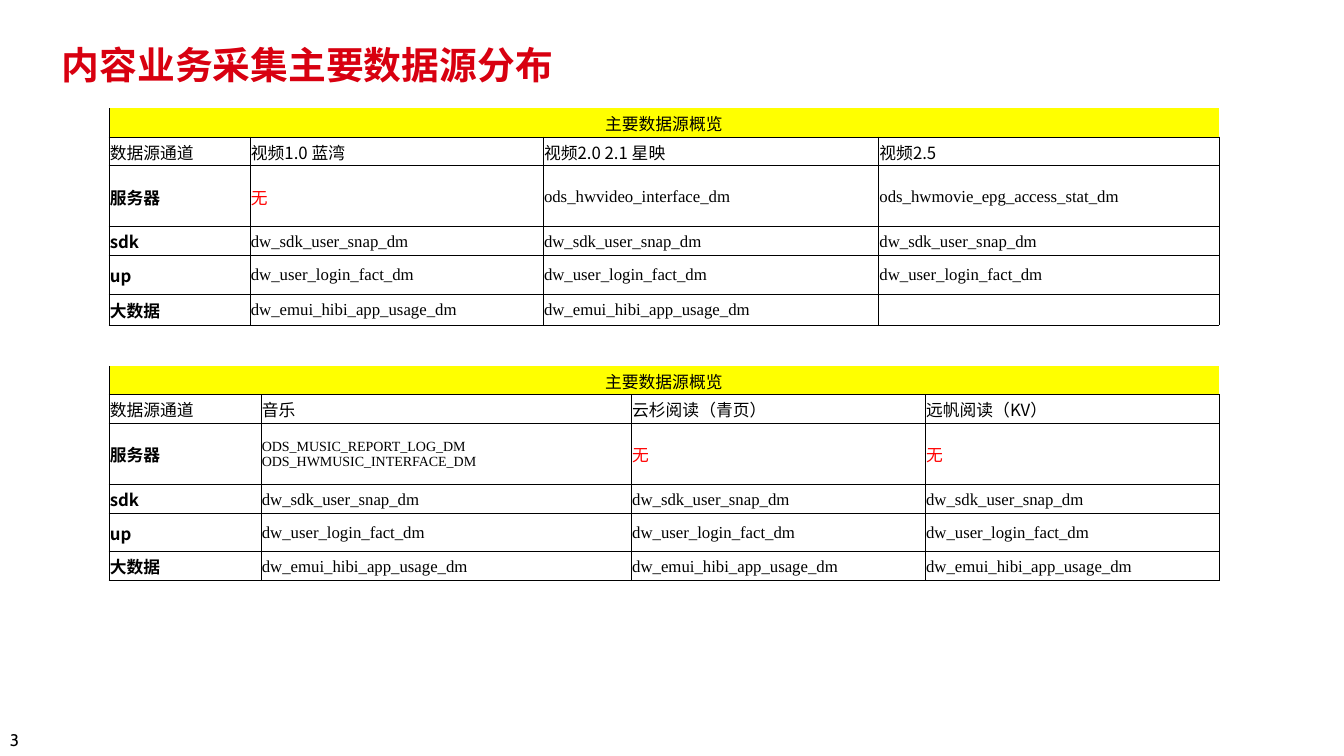
from lxml import etree
from pptx import Presentation
from pptx.dml.color import RGBColor
from pptx.enum.text import MSO_ANCHOR, PP_ALIGN
from pptx.oxml.ns import qn
from pptx.util import Inches, Pt

MIDDLE, TOP = MSO_ANCHOR.MIDDLE, MSO_ANCHOR.TOP
LEFT, CENTER = PP_ALIGN.LEFT, PP_ALIGN.CENTER

BLACK = RGBColor(0x00, 0x00, 0x00)
RED = RGBColor(0xFF, 0x00, 0x00)
TITLE_RED = RGBColor(0xD8, 0x00, 0x10)
YELLOW = RGBColor(0xFF, 0xFF, 0x00)

SANS, SERIF, NUMBER_FONT = "Noto Sans CJK SC", "Times New Roman", "Cabin"
NONE = "无"
ROW_WEIGHTS = (57, 57, 121, 57, 76, 57)


def write(paragraph, text, font=SANS, size=12, color=BLACK, bold=False, align=LEFT):
    """Fill a paragraph; each line of the text becomes a run."""
    paragraph.alignment = align
    for number, line in enumerate(text.split("\n")):
        if number:
            paragraph.add_line_break()
        run = paragraph.add_run()
        run.text = line
        run.font.name, run.font.size = font, Pt(size)
        run.font.bold, run.font.color.rgb = bold, color
        east_asian = etree.SubElement(run.font._element, qn("a:ea"))
        east_asian.set("typeface", SANS)
    if not text:
        end = etree.SubElement(paragraph._p, qn("a:endParaRPr"))
        end.set("sz", str(size * 100))


class SourceSlide:
    """Holds the slide and its style; lengths are percent of the slide."""

    def __init__(self, deck):
        self.width, self.height = deck.slide_width, deck.slide_height
        self.slide = deck.slides.add_slide(deck.slide_layouts[6])

    def area(self, left, top, width, height):
        return (int(self.width * left / 100), int(self.height * top / 100),
                int(self.width * width / 100), int(self.height * height / 100))

    def text(self, place, content, anchor=TOP, spacing=1.0, **style):
        frame = self.slide.shapes.add_textbox(*self.area(*place)).text_frame
        frame.word_wrap, frame.vertical_anchor = True, anchor
        frame.paragraphs[0].line_spacing = spacing
        write(frame.paragraphs[0], content, **style)

    def borders(self, cell, drawn):
        properties = cell._tc.get_or_add_tcPr()
        for side in "LRTB":
            line = etree.SubElement(properties, qn(f"a:ln{side}"), w=str(Pt(0.5)))
            if side in drawn:
                fill = etree.SubElement(line, qn("a:solidFill"))
                etree.SubElement(fill, qn("a:srgbClr"), val=str(BLACK))
            else:
                etree.SubElement(line, qn("a:noFill"))

    def cell(self, cell, content, fill=None, drawn="LRTB", **style):
        cell.margin_left = cell.margin_right = cell.margin_top = Inches(0.01)
        cell.margin_bottom = 0
        cell.vertical_anchor = MIDDLE
        self.borders(cell, drawn)
        if fill is None:
            cell.fill.background()
        else:
            cell.fill.solid()
            cell.fill.fore_color.rgb = fill
        write(cell.text_frame.paragraphs[0], content, **style)

    def source_table(self, place, column_weights, rows):
        left, top, width, height = self.area(*place)
        table = self.slide.shapes.add_table(
            len(rows) + 1, len(column_weights), left, top, width, height).table
        table.first_row = table.horz_banding = False
        for column, weight in zip(table.columns, column_weights):
            column.width = int(width * weight / sum(column_weights))
        for row, weight in zip(table.rows, ROW_WEIGHTS):
            row.height = int(height * weight / sum(ROW_WEIGHTS))

        # Yellow heading across all columns
        last = len(column_weights) - 1
        table.cell(0, 0).merge(table.cell(0, last))
        for c in range(last + 1):
            self.cell(table.cell(0, c), "" if c else "主要数据源概览",
                      fill=YELLOW, drawn="B" if c else "LB", align=CENTER)

        # Channel names in sans, data source names in serif
        for r, row in enumerate(rows, 1):
            for c, content in enumerate(row):
                labelled = r == 1 or c == 0
                self.cell(table.cell(r, c), content,
                          font=SANS if labelled else SERIF,
                          size=10 if "\n" in content else 12,
                          color=RED if content == NONE else BLACK,
                          bold=r > 1 and c == 0)


def channel_rows(products, server_sources, usage_count):
    """Rows of one table; only the server row and the last row vary."""
    count = len(products)
    usage = ["dw_emui_hibi_app_usage_dm"] * usage_count
    return [
        ["数据源通道", *products],
        ["服务器", *server_sources],
        ["sdk"] + ["dw_sdk_user_snap_dm"] * count,
        ["up"] + ["dw_user_login_fact_dm"] * count,
        ["大数据"] + usage + [""] * (count - usage_count),
    ]


def main():
    deck = Presentation()
    deck.slide_width, deck.slide_height = Inches(13.34), Inches(7.5)
    page = SourceSlide(deck)

    # Page number and title
    page.text((0, 95.9, 3.9, 4), "3", font=NUMBER_FONT)
    page.text((3.85, 2.6, 78, 9.4), "内容业务采集主要数据源分布", anchor=MIDDLE,
              spacing=1.4, size=27, color=TITLE_RED, bold=True)

    # Video sources
    page.source_table(
        (8.1, 14.3, 82.6, 28.4), (140, 291, 333, 338),
        channel_rows(["视频1.0 蓝湾", "视频2.0 2.1 星映", "视频2.5"],
                     [NONE, "ods_hwvideo_interface_dm",
                      "ods_hwmovie_epg_access_stat_dm"], usage_count=2))

    # Music and reading sources
    page.source_table(
        (8.1, 48.4, 82.6, 28.4), (151, 368, 292, 292),
        channel_rows(["音乐", "云杉阅读（青页）", "远帆阅读（KV）"],
                     ["ODS_MUSIC_REPORT_LOG_DM\nODS_HWMUSIC_INTERFACE_DM",
                      NONE, NONE], usage_count=3))

    deck.save("out.pptx")


if __name__ == "__main__":
    main()
